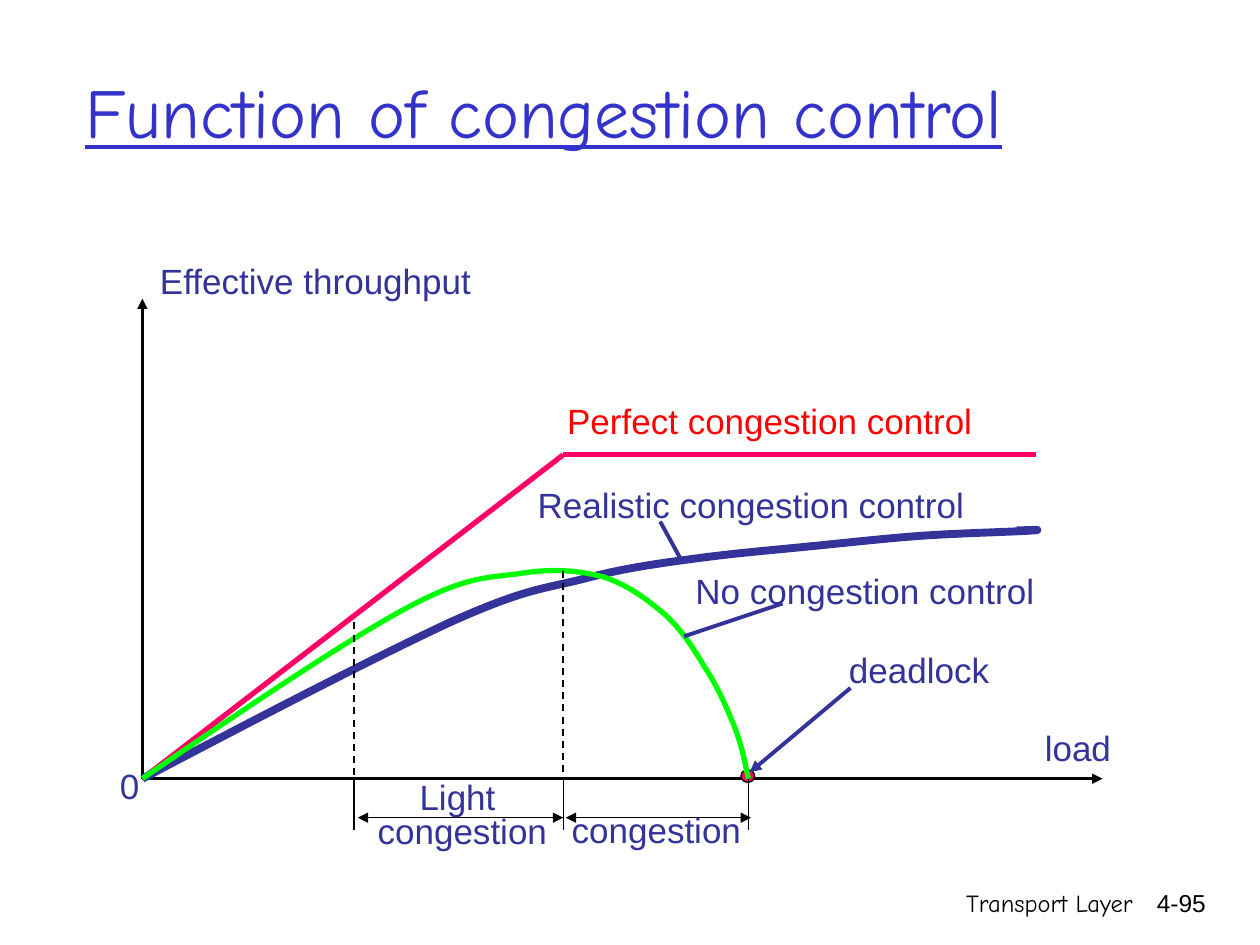
"""Build the slide that explains the function of congestion control."""
from lxml.etree import SubElement
from pptx import Presentation
from pptx.dml.color import RGBColor
from pptx.enum.dml import MSO_LINE
from pptx.enum.shapes import MSO_CONNECTOR, MSO_SHAPE
from pptx.enum.text import MSO_ANCHOR, MSO_AUTO_SIZE, PP_ALIGN
from pptx.oxml.ns import qn
from pptx.util import Inches, Pt

COLORS = {
    "axis": "000000",
    "label": "333399",
    "perfect": "FF0066",
    "perfect_label": "FF0000",
    "uncontrolled": "00FF00",
    "title": "3333CC",
}
AXIS_Y = 6.18
ORIGIN = (1.13, AXIS_Y)
LIGHT_X, KNEE_X, DEADLOCK_X = 2.81, 4.47, 5.94
KNEE = (KNEE_X, 3.61)

REALISTIC = [
    ORIGIN, (2.06, 5.69), (2.99, 5.21), (3.57, 4.94),
    (4.15, 4.68), (4.28, 4.68), (4.61, 4.6),
    (4.94, 4.51), (5.24, 4.47), (5.54, 4.43),
    (5.84, 4.39), (6.09, 4.37), (6.39, 4.34),
    (6.7, 4.31), (7.05, 4.27), (7.35, 4.25),
    (7.65, 4.23), (8.08, 4.22), (8.2, 4.21),
    (8.32, 4.2), (8.09, 4.21), (8.07, 4.21),
]
UNCONTROLLED = [
    ORIGIN, (1.92, 5.64), (2.72, 5.1), (3.22, 4.83),
    (3.72, 4.56), (3.88, 4.59), (4.14, 4.55),
    (4.4, 4.51), (4.6, 4.53), (4.79, 4.58),
    (4.98, 4.64), (5.14, 4.76), (5.28, 4.88),
    (5.41, 5), (5.5, 5.14), (5.59, 5.29),
    (5.69, 5.44), (5.77, 5.62), (5.83, 5.77),
    (5.89, 5.92), (5.91, 6.05), (DEADLOCK_X, AXIS_Y),
]
LABELS = [
    ("load", (8.19, 5.72, 0.73, 0.44), "label"),
    ("Effective throughput", (1.16, 2.01, 2.69, 0.44), "label"),
    ("Perfect congestion control", (4.39, 3.12, 3.44, 0.44), "perfect_label"),
    ("Realistic congestion control", (4.15, 3.79, 3.62, 0.44), "label"),
    ("No congestion control", (5.41, 4.47, 2.91, 0.44), "label"),
    ("0", (0.85, 6.02, 0.36, 0.43), "label"),
    ("deadlock", (6.63, 5.1, 1.33, 0.44), "label"),
    ("congestion", (4.43, 6.37, 1.56, 0.44), "label"),
]


def rgb(name):
    return RGBColor.from_string(COLORS[name])


def add_line(s, start, end, color, width, head=False, tail=False, dash=False):
    line = s.shapes.add_connector(
        MSO_CONNECTOR.STRAIGHT, *(Inches(v) for v in (*start, *end)))
    line.line.color.rgb = rgb(color)
    line.line.width = Pt(width)
    if dash:
        line.line.dash_style = MSO_LINE.DASH
    ln = line.line._get_or_add_ln()
    for shown, tag in ((head, "a:headEnd"), (tail, "a:tailEnd")):
        if shown:
            SubElement(ln, qn(tag), type="triangle")
    SubElement(line._element.spPr, qn("a:effectLst"))


def add_curve(s, points, color, width):
    start, *rest = [(Inches(x), Inches(y)) for x, y in points]
    builder = s.shapes.build_freeform(*start)
    builder.add_line_segments(rest, close=False)
    curve = builder.convert_to_shape()
    curve.shadow.inherit = False
    curve.fill.background()
    curve.line.color.rgb = rgb(color)
    curve.line.width = Pt(width)
    path = curve._element.find(".//" + qn("a:path"))
    segments = path.findall(qn("a:lnTo"))
    for i in range(0, len(segments), 3):
        bezier = SubElement(path, qn("a:cubicBezTo"))
        for segment in segments[i:i + 3]:
            bezier.append(segment[0])
            path.remove(segment)


def add_text(s, text, box, color, size=20, font="Arial",
             align=PP_ALIGN.CENTER, wrap=False, spacing=None):
    tf = s.shapes.add_textbox(*(Inches(v) for v in box)).text_frame
    tf.word_wrap = wrap
    tf.auto_size = MSO_AUTO_SIZE.NONE if wrap else MSO_AUTO_SIZE.SHAPE_TO_FIT_TEXT
    tf.text = text
    for p in tf.paragraphs:
        p.alignment = align
        p.line_spacing = spacing
        p.font.size = Pt(size)
        p.font.name = font
        p.font.color.rgb = rgb(color)
    return tf


def add_deadlock_dot(s):
    dot = s.shapes.add_shape(
        MSO_SHAPE.OVAL, Inches(5.88), Inches(6.11), Inches(0.11), Inches(0.1))
    dot.shadow.inherit = False
    dot.fill.solid()
    dot.fill.fore_color.rgb = rgb("perfect")
    dot.line.color.rgb = rgb("axis")
    dot.line.width = Pt(0.75)


def main():
    prs = Presentation()
    prs.slide_width, prs.slide_height = Inches(10), Inches(7.5)
    s = prs.slides.add_slide(prs.slide_layouts[6])

    tf = add_text(s, "Function of congestion control", (0.58, 0.25, 8.5, 1.25),
                  "title", 40, "Comic Neue", PP_ALIGN.LEFT, wrap=True)
    tf.vertical_anchor = MSO_ANCHOR.MIDDLE
    tf.paragraphs[0].font.underline = True

    for end in ((1.13, 2.37), (8.75, AXIS_Y)):
        add_line(s, ORIGIN, end, "axis", 1.5, tail=True)
    add_line(s, ORIGIN, KNEE, "perfect", 3)
    add_line(s, KNEE, (8.22, 3.61), "perfect", 3)
    add_curve(s, REALISTIC, "label", 4.5)
    add_deadlock_dot(s)
    add_curve(s, UNCONTROLLED, "uncontrolled", 3)

    for x, top in ((LIGHT_X, 4.94), (KNEE_X, 4.53)):
        add_line(s, (x, top), (x, AXIS_Y), "axis", 1, dash=True)
    for x in (LIGHT_X, KNEE_X, DEADLOCK_X):
        add_line(s, (x, AXIS_Y), (x, 6.59), "axis", 0.75)
    for left, right in ((2.84, 4.47), (4.49, 5.96)):
        add_line(s, (left, 6.49), (right, 6.49), "axis", 0.75, head=True, tail=True)

    add_line(s, (5.24, 4.14), (5.41, 4.45), "label", 2.25)
    add_line(s, (6.21, 4.79), (5.43, 5.05), "label", 2.25)
    add_line(s, (6.75, 5.46), (5.95, 6.13), "label", 2.25, tail=True)
    for text, box, color in LABELS:
        add_text(s, text, box, color)
    add_text(s, "Light \ncongestion", (2.89, 6.17, 1.56, 0.64), "label", spacing=0.8)

    add_text(s, "Transport Layer", (5.92, 7, 3.17, 0.5), "axis", 14,
             "Comic Neue", PP_ALIGN.RIGHT, wrap=True)
    add_text(s, "4-95", (8.93, 7, 0.74, 0.5), "axis", 14,
             align=PP_ALIGN.RIGHT, wrap=True)
    prs.save("out.pptx")


if __name__ == "__main__":
    main()
